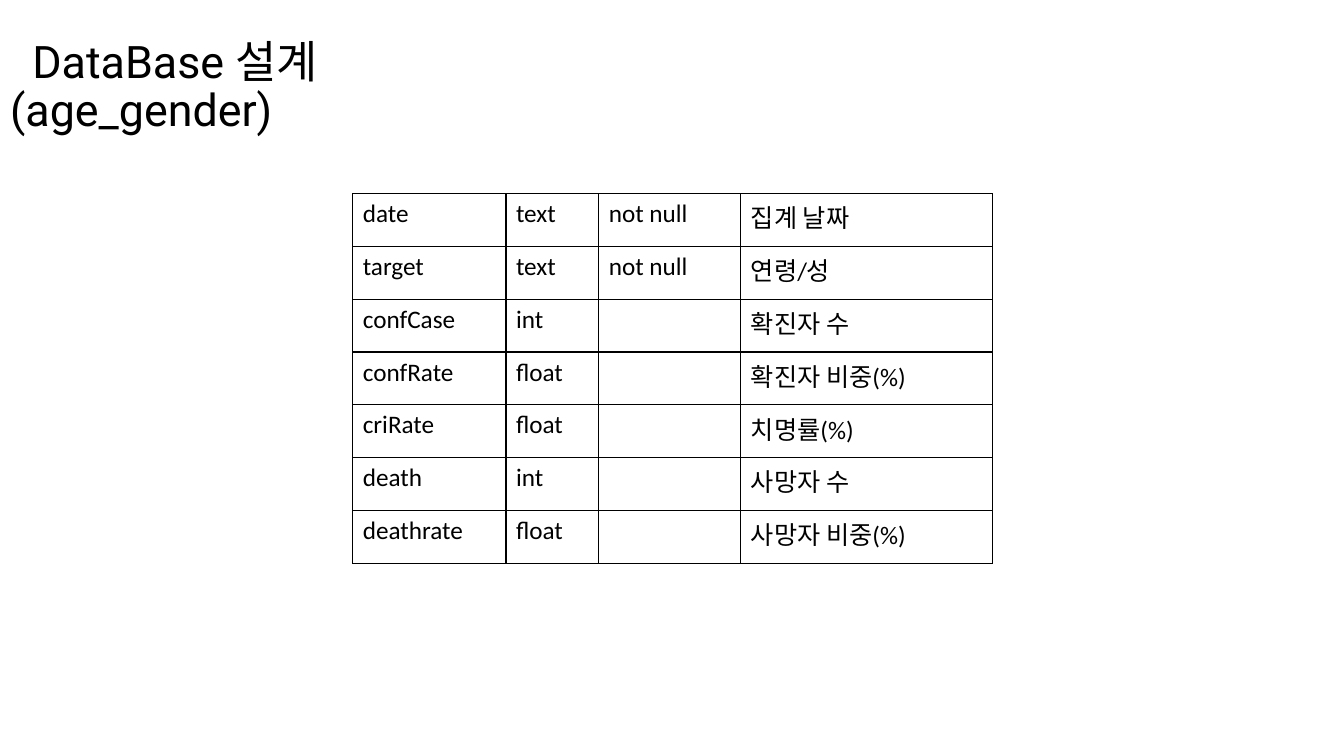
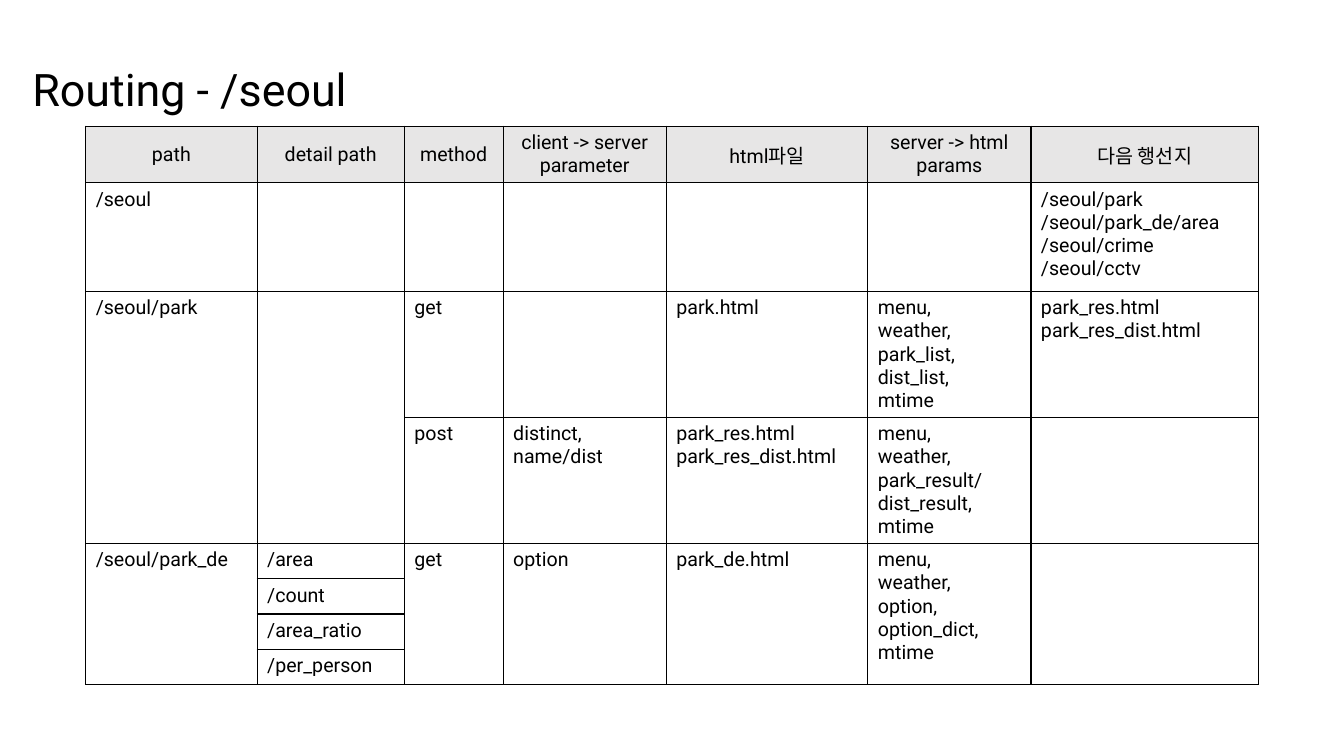
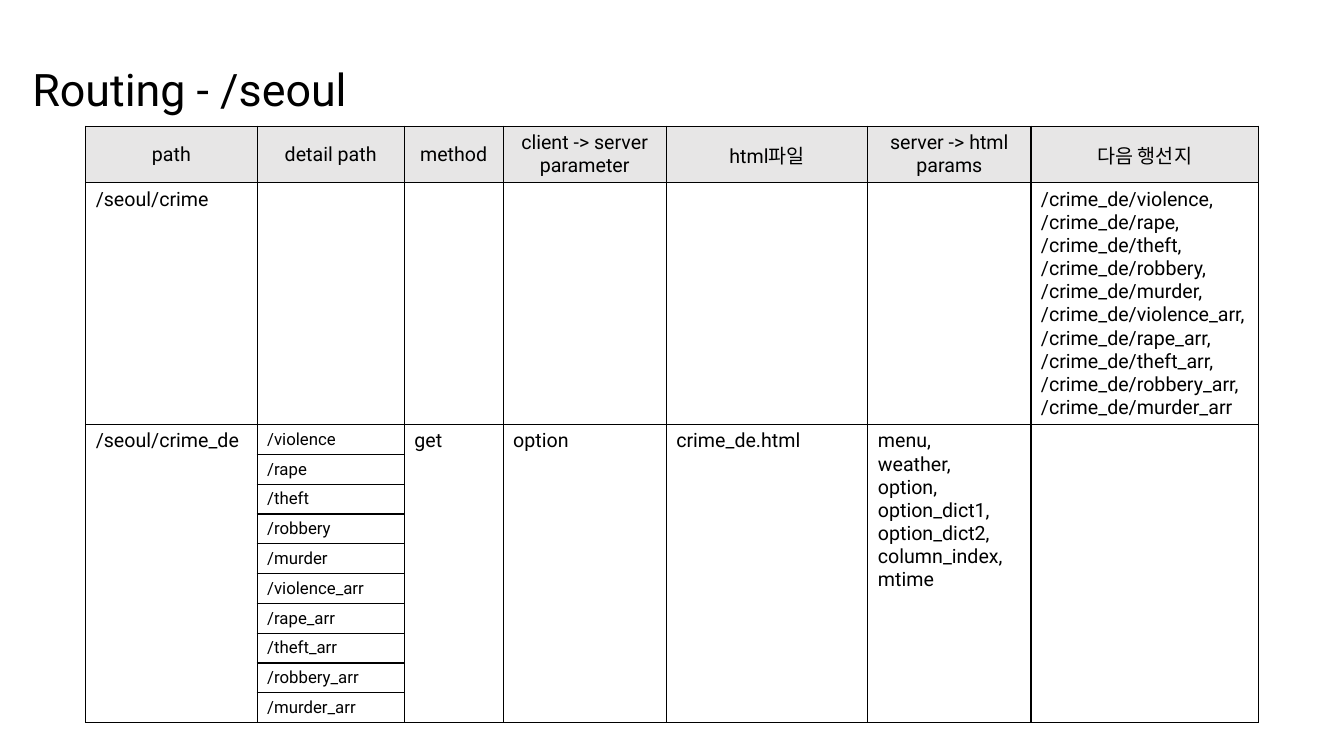
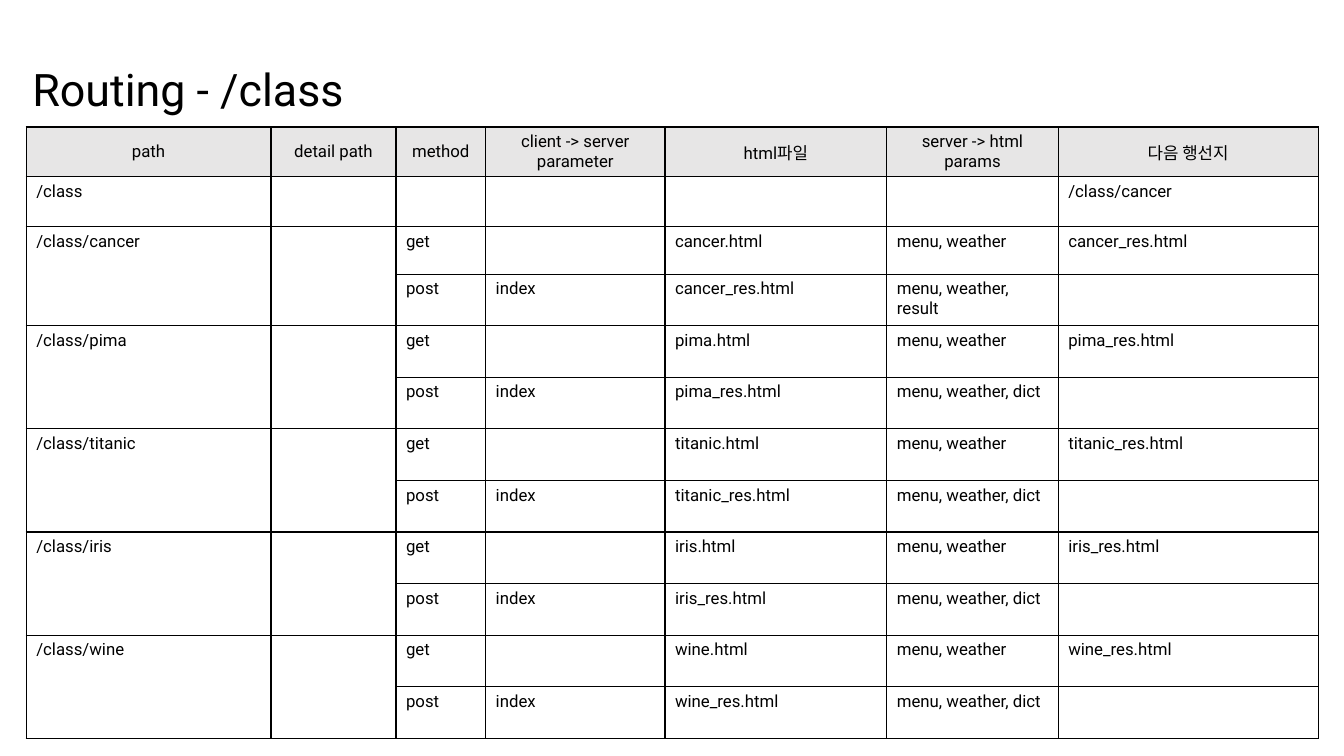
import pptx
import pptx.dml.color
import pptx.enum.text
import pptx.oxml
import pptx.oxml.ns
import pptx.util
from pptx.util import Cm, Pt

BLACK = pptx.dml.color.RGBColor(0x00, 0x00, 0x00)
HEADER_GRAY = pptx.dml.color.RGBColor(0xE7, 0xE6, 0xE6)
ALIGN = pptx.enum.text.PP_ALIGN
ANCHOR = pptx.enum.text.MSO_ANCHOR
TITLE_ONLY = 5
ABOVE = None  # the cell is merged into the one above it

HEADER = ["path", "detail path", "method", "client -> server parameter",
          "html파일", "server -> html\nparams", "다음 행선지"]

AGE_GENDER_ROWS = [
    ["date", "text", "not null", "집계 날짜"],
    ["target", "text", "not null", "연령/성"],
    ["confCase", "int", "", "확진자 수"],
    ["confRate", "float", "", "확진자 비중(%)"],
    ["criRate", "float", "", "치명률(%)"],
    ["death", "int", "", "사망자 수"],
    ["deathrate", "float", "", "사망자 비중(%)"],
]


def detail_rows(path, details, html, params):
    """One merged route with a row for each detail path."""
    first = [path, details[0], "get", "option", html, params, ""]
    rest = [[ABOVE, detail] + [ABOVE] * 5 for detail in details[1:]]
    return [first] + rest


PARK_ROWS = [
    HEADER,
    ["/seoul", "", "", "", "", "",
     "/seoul/park\n/seoul/park_de/area\n/seoul/crime\n/seoul/cctv"],
    ["/seoul/park", "", "get", "", "park.html",
     "menu,\nweather,\npark_list,\ndist_list,\nmtime",
     "park_res.html\npark_res_dist.html"],
    [ABOVE, ABOVE, "post", "distinct, name/dist",
     "park_res.html\npark_res_dist.html",
     "menu,\nweather,\npark_result/\ndist_result,\nmtime", ""],
] + detail_rows("/seoul/park_de",
                ["/area", "/count", "/area_ratio", "/per_person"],
                "park_de.html",
                "menu,\nweather,\noption,\noption_dict,\nmtime")

CRIMES = ["/violence", "/rape", "/theft", "/robbery", "/murder"]
CRIME_DETAILS = CRIMES + [crime + "_arr" for crime in CRIMES]
CRIME_ROWS = [
    HEADER,
    ["/seoul/crime", "", "", "", "", "",
     ",\n".join("/crime_de" + detail for detail in CRIME_DETAILS)],
] + detail_rows("/seoul/crime_de", CRIME_DETAILS, "crime_de.html",
                "menu,\nweather,\noption,\noption_dict1,\noption_dict2,\n"
                "column_index,\nmtime")

CLASS_RESULTS = {
    "cancer": "menu, weather,\nresult",
    "pima": "menu, weather, dict",
    "titanic": "menu, weather, dict",
    "iris": "menu, weather, dict",
    "wine": "menu, weather, dict",
}
CLASS_ROWS = [HEADER, ["/class", "", "", "", "", "", "/class/cancer"]]
for name, result in CLASS_RESULTS.items():
    CLASS_ROWS += [
        [f"/class/{name}", "", "get", "", f"{name}.html", "menu, weather",
         f"{name}_res.html"],
        [ABOVE, ABOVE, "post", "index", f"{name}_res.html", result, ""],
    ]

TITLE_BOX = (0, 1.47, 12.04, 1.7)
SEOUL = dict(title="Routing - /seoul", at=(2.16, 3.18), size=14,
             cols=[4.32, 3.71, 2.49, 4.11, 5.08, 4.11, 5.74])

SLIDES = [
    dict(title="DataBase 설계(age_gender)", title_box=(0, 1.37, 15.42, 1.7),
         title_right=1.2, rows=AGE_GENDER_ROWS, at=(8.89, 4.88), size=18,
         font="Calibri", cols=[3.86, 2.34, 3.58, 6.35], heights=[1.33] * 7),
    dict(SEOUL, rows=PARK_ROWS,
         heights=[1.35, 2.74, 3.07, 2.97] + [0.89] * 4),
    dict(SEOUL, rows=CRIME_ROWS, detail_size=12,
         heights=[1.37, 5.89] + [0.74] * 10),
    dict(title="Routing - /class", rows=CLASS_ROWS, at=(0.66, 3.2), size=12,
         cols=[6.17, 3.15, 2.26, 4.52, 5.59, 4.32, 6.55],
         heights=[1.24, 1.27, 1.19] + [1.3] * 9),
]


def set_font(font, name, size):
    for key, value in dict(name=name, size=Pt(size)).items():
        setattr(font, key, value)
    font.color.rgb = BLACK


def format_title(title, text, box, right):
    for key, value in zip(("left", "top", "width", "height"), box):
        setattr(title, key, Cm(value))
    tf = title.text_frame
    tf.text = text
    frame = dict(word_wrap=True, auto_size=pptx.enum.text.MSO_AUTO_SIZE.NONE,
                 vertical_anchor=ANCHOR.MIDDLE, margin_right=Cm(right))
    for key, value in frame.items():
        setattr(tf, key, value)
    p = tf.paragraphs[0]
    p.alignment = ALIGN.LEFT
    p.line_spacing = 0.9
    p._p.get_or_add_pPr().set("indent", str(Cm(0.56)))
    set_font(p.runs[0].font, "Roboto", 32)


def add_borders(cell):
    tcPr = cell._tc.get_or_add_tcPr()
    for side in ("lnL", "lnR", "lnT", "lnB"):
        tcPr.append(pptx.oxml.parse_xml(
            f'<a:{side} {pptx.oxml.ns.nsdecls("a")} w="{Pt(1)}"><a:solidFill>'
            f'<a:srgbClr val="{BLACK}"/></a:solidFill></a:{side}>'))


def fill_cell(cell, text, font, size, is_header):
    add_borders(cell)
    cell.text = text or ""
    if is_header:
        cell.fill.solid()
        cell.fill.fore_color.rgb = HEADER_GRAY
        cell.vertical_anchor = ANCHOR.MIDDLE
    else:
        cell.fill.background()
    for p in cell.text_frame.paragraphs:
        p.alignment = ALIGN.CENTER if is_header else ALIGN.LEFT
        for r in p.runs:
            set_font(r.font, font, size)
        if not p.runs:  # an empty cell must not stretch its row
            p._p.append(pptx.oxml.parse_xml(
                f'<a:endParaRPr {pptx.oxml.ns.nsdecls("a")} '
                f'sz="{size * 100}"/>'))


def merge_down(table, rows):
    """Join each cell with the ABOVE cells that follow it."""
    for col in range(len(rows[0])):
        start = 0
        for end in range(len(rows)):
            if rows[end][col] is not ABOVE:
                start = end
            last = end + 1 == len(rows) or rows[end + 1][col] is not ABOVE
            if last and end > start:
                table.cell(start, col).merge(table.cell(end, col))


def add_table(s, rows, at, cols, heights, size, font="Roboto",
              detail_size=None):
    left, top = at
    table = s.shapes.add_table(len(rows), len(cols), Cm(left), Cm(top),
                               Cm(sum(cols)), Cm(sum(heights))).table
    table.first_row = table.horz_banding = False
    for column, width in zip(table.columns, cols):
        column.width = Cm(width)
    for row, height in zip(table.rows, heights):
        row.height = Cm(height)
    for i, texts in enumerate(rows):
        for j, text in enumerate(texts):
            is_detail = detail_size and j == 1 and text and i > 0
            fill_cell(table.cell(i, j), text, font,
                      detail_size if is_detail else size, texts is HEADER)
    merge_down(table, rows)


def main():
    prs = pptx.Presentation()
    prs.slide_width, prs.slide_height = Cm(33.87), Cm(19.05)
    for content in SLIDES:
        table = dict(content)
        s = prs.slides.add_slide(prs.slide_layouts[TITLE_ONLY])
        format_title(s.shapes.title, table.pop("title"),
                     table.pop("title_box", TITLE_BOX),
                     table.pop("title_right", 0.25))
        add_table(s, **table)
    prs.save("out.pptx")


if __name__ == "__main__":
    main()
